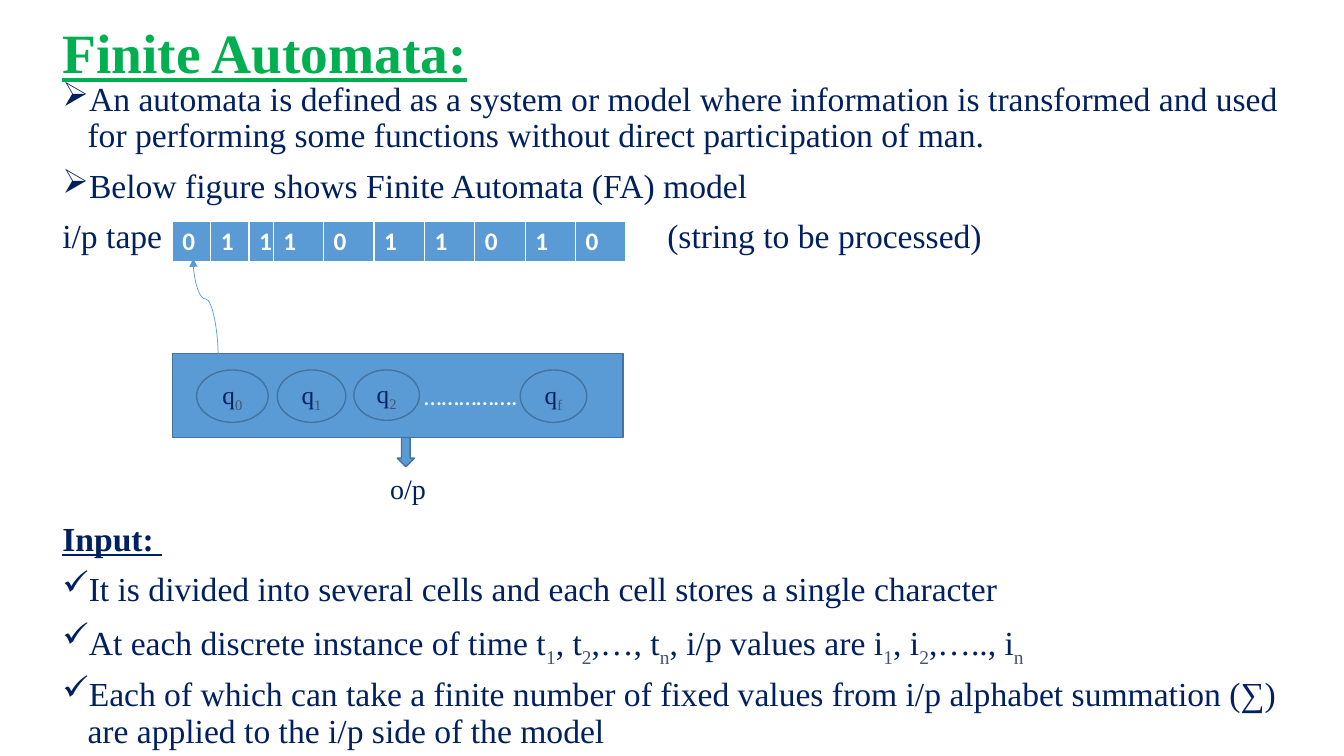
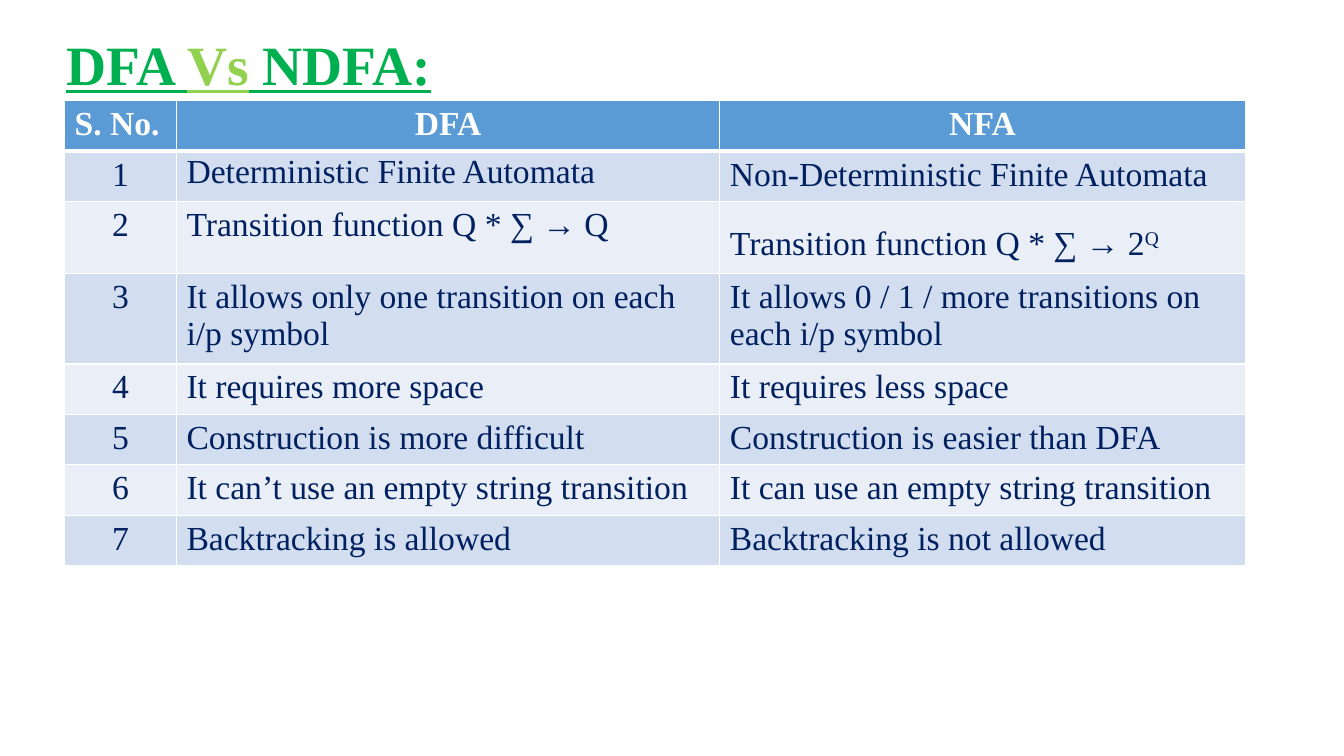
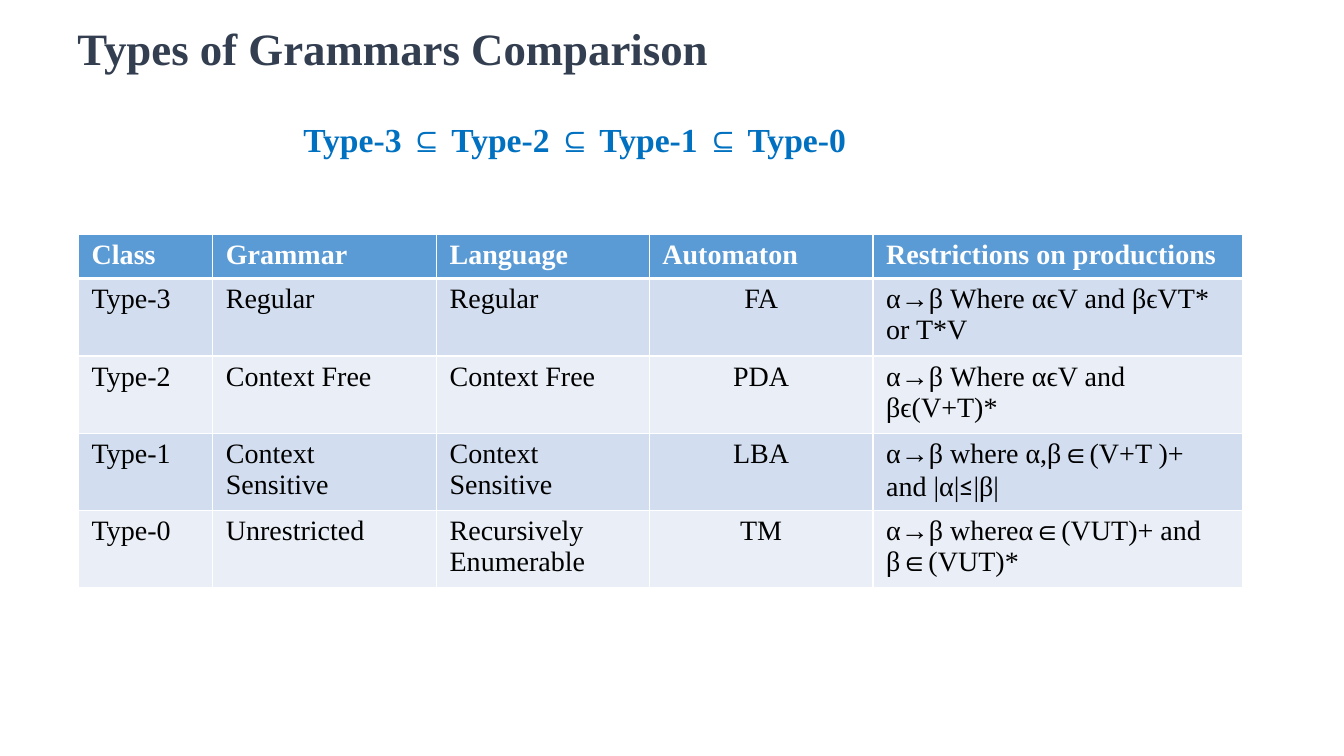
from dataclasses import dataclass
from typing import Optional

from lxml import etree
from pptx import Presentation
from pptx.dml.color import RGBColor
from pptx.enum.shapes import MSO_CONNECTOR, MSO_SHAPE
from pptx.enum.text import MSO_ANCHOR, PP_ALIGN
from pptx.oxml.ns import qn
from pptx.util import Inches, Pt

RECTANGLE, OVAL, DOWN_ARROW = MSO_SHAPE.RECTANGLE, MSO_SHAPE.OVAL, MSO_SHAPE.DOWN_ARROW
CURVE = MSO_CONNECTOR.CURVE
TOP, MIDDLE, BOTTOM = MSO_ANCHOR.TOP, MSO_ANCHOR.MIDDLE, MSO_ANCHOR.BOTTOM
LEFT, CENTER = PP_ALIGN.LEFT, PP_ALIGN.CENTER
ALIGNMENTS = {"l": LEFT, "c": CENTER}


@dataclass(frozen=True)
class Theme:
    serif: str = "Times New Roman"
    sans: str = "Calibri"
    green: str = "00B050"
    lime: str = "92D050"
    navy: str = "002060"
    slate: str = "333F50"
    subscript: str = "44546A"
    blue: str = "0070C0"
    accent: str = "5B9BD5"
    outline: str = "43739E"
    bands: tuple = ("D2DEEF", "EAEFF7")
    white: str = "FFFFFF"
    black: str = "000000"
    title: float = 39.6
    subtitle: float = 32
    body: float = 24
    small: float = 20
    label: float = 18
    line_spacing: float = 0.9
    paragraph_gap: float = 10


THEME = Theme()


@dataclass(frozen=True)
class Style:
    size: float = THEME.body
    color: str = THEME.navy
    font: str = THEME.serif
    bold: bool = False
    underline: bool = False


@dataclass(frozen=True)
class Run:
    text: str
    color: Optional[str] = None
    font: Optional[str] = None
    baseline: int = 0


BODY = Style()
TITLE = Style(THEME.title, THEME.green, bold=True, underline=True)
TAPE = Style(THEME.label, THEME.white, THEME.sans, bold=True)
STATE = Style(THEME.label)


def sub(text):
    return Run(text, color=THEME.subscript, baseline=-25000)


def sup(text):
    return Run(text, baseline=30000)


def rgb(color):
    return RGBColor.from_string(color)


def add_bullet(paragraph, symbol):
    properties = paragraph._p.get_or_add_pPr()
    properties.set("marL", str(Inches(0.25)))
    properties.set("indent", str(Inches(-0.25)))
    etree.SubElement(properties, qn("a:buChar")).set("char", symbol)


def write_paragraph(paragraph, content, style, align=LEFT, bullet=None):
    paragraph.alignment = align
    if bullet:
        add_bullet(paragraph, bullet)
    font = paragraph.font
    font.name, font.size = style.font, Pt(style.size)
    font.bold, font.underline = style.bold, style.underline
    font.color.rgb = rgb(style.color)
    for part in [content] if isinstance(content, str) else content:
        part = Run(part) if isinstance(part, str) else part
        run = paragraph.add_run()
        run.text = part.text
        if part.color:
            run.font.color.rgb = rgb(part.color)
        if part.font:
            run.font.name = part.font
        if part.baseline:
            run._r.get_or_add_rPr().set("baseline", str(part.baseline))


def add_text(slide, box, lines, anchor=TOP):
    frame = slide.shapes.add_textbox(*map(Inches, box)).text_frame
    frame.word_wrap = True
    frame.vertical_anchor = anchor
    for index, (content, style, bullet) in enumerate(lines):
        paragraph = frame.add_paragraph() if index else frame.paragraphs[0]
        paragraph.line_spacing = THEME.line_spacing
        paragraph.space_before = Pt(THEME.paragraph_gap if index else 0)
        write_paragraph(paragraph, content, style, bullet=bullet)


def add_title(slide, box, content, style=TITLE):
    add_text(slide, box, [(content, style, None)], MIDDLE)


def add_shape(slide, kind, box):
    shape = slide.shapes.add_shape(kind, *map(Inches, box))
    shape.shadow.inherit = False
    shape.fill.solid()
    shape.fill.fore_color.rgb = rgb(THEME.accent)
    shape.line.color.rgb = rgb(THEME.outline)
    shape.line.width = Pt(1)
    shape.text_frame.vertical_anchor = MIDDLE
    return shape


def add_state(slide, box, index):
    frame = add_shape(slide, OVAL, box).text_frame
    frame.word_wrap = False
    write_paragraph(frame.paragraphs[0], ["q", sub(index)], STATE, CENTER)


def add_tape_head(slide):
    left, top, width, height = 1.54, 2.94, 1, 0.25
    ends = left, top, left + width, top + height
    head = slide.shapes.add_connector(CURVE, *map(Inches, ends))
    head.line.color.rgb = rgb(THEME.accent)
    head.line.width = Pt(0.5)
    properties = head._element.spPr
    transform = properties.find(qn("a:xfrm"))
    transform.set("rot", "16200000")
    transform.set("flipV", "1")
    geometry = properties.find(qn("a:prstGeom"))
    guides = geometry.find(qn("a:avLst"))
    if guides is None:
        guides = etree.SubElement(geometry, qn("a:avLst"))
    bend = etree.SubElement(guides, qn("a:gd"))
    bend.set("name", "adj1")
    bend.set("fmla", "val 59800")
    arrow = etree.SubElement(properties.find(qn("a:ln")), qn("a:tailEnd"))
    arrow.set("type", "triangle")
    etree.SubElement(properties, qn("a:effectLst"))


def add_borders(cell, bottom):
    properties = cell._tc.get_or_add_tcPr()
    widths = {"lnL": 1, "lnR": 1, "lnT": 1, "lnB": bottom}
    for index, (side, width) in enumerate(widths.items()):
        border = etree.Element(qn(f"a:{side}"))
        border.set("w", str(Pt(width)))
        fill = etree.SubElement(border, qn("a:solidFill"))
        etree.SubElement(fill, qn("a:srgbClr")).set("val", THEME.white)
        properties.insert(index, border)


def add_table(slide, corner, widths, heights, rows, header, body,
              header_align, body_align, side_margin=0.1):
    size = sum(widths), sum(heights)
    table = slide.shapes.add_table(
        len(rows), len(widths), *map(Inches, corner + size)).table
    table.horz_banding = False
    for column, width in zip(table.columns, widths):
        column.width = Inches(width)
    for row, height in zip(table.rows, heights):
        row.height = Inches(height)
    for r, contents in enumerate(rows):
        style, aligns = (body, body_align) if r else (header, header_align)
        fill = THEME.bands[(r - 1) % 2] if r else THEME.accent
        for c, (content, align) in enumerate(zip(contents, aligns)):
            cell = table.cell(r, c)
            cell.margin_left = cell.margin_right = Inches(side_margin)
            cell.fill.solid()
            cell.fill.fore_color.rgb = rgb(fill)
            add_borders(cell, 1 if r else 3)
            write_paragraph(cell.text_frame.paragraphs[0], content, style,
                            ALIGNMENTS[align])
    return table


def build_finite_automata(slide):
    add_title(slide, (0.52, 0.29, 11.9, 0.53), "Finite Automata:")
    add_text(slide, (0.52, 0.77, 12.3, 1.3), [
        ("An automata is defined as a system or model where information is "
         "transformed and used for performing some functions without direct "
         "participation of man.", BODY, "➢"),
        ("Below figure shows Finite Automata (FA) model", BODY, "➢"),
    ])
    add_text(slide, (0.52, 2.13, 1.25, 0.45), [("i/p tape", BODY, None)])
    add_text(slide, (6.52, 2.13, 4, 0.45),
             [("(string to be processed)", BODY, None)])
    add_text(slide, (3.77, 4.67, 0.8, 0.4),
             [("o/p", Style(THEME.small), None)])
    add_text(slide, (0.52, 5.13, 12.3, 2.3), [
        ("Input: ", Style(bold=True, underline=True), None),
        ("It is divided into several cells and each cell stores a single "
         "character", BODY, "✓"),
        (["At each discrete instance of time t", sub("1"), ", t", sub("2"),
          ",…, t", sub("n"), ", i/p values are i", sub("1"), ", i", sub("2"),
          ",….., i", sub("n")], BODY, "✓"),
        ("Each of which can take a finite number of fixed values from i/p "
         "alphabet summation (∑) are applied to the i/p side of the model",
         BODY, "✓"),
    ])
    symbols = "0111011010"
    add_table(slide, (1.71, 2.2), [0.38, 0.38, 0.24] + [0.5] * 7, [0.41],
              [symbols], TAPE, TAPE, "l" * len(symbols), "")

    control = add_shape(slide, RECTANGLE, (1.71, 3.51, 4.47, 0.83)).text_frame
    control.margin_left = Inches(1.55)
    write_paragraph(control.paragraphs[0], "…………….",
                    Style(THEME.label, THEME.white, THEME.sans), CENTER)
    for index, left, width, height in (("0", 1.95, 0.71, 0.52),
                                       ("1", 2.75, 0.68, 0.52),
                                       ("2", 3.51, 0.65, 0.5),
                                       ("f", 5.16, 0.66, 0.52)):
        add_state(slide, (left, 3.67, width, height), index)
    add_tape_head(slide)
    add_shape(slide, DOWN_ARROW, (3.94, 4.34, 0.17, 0.29))


def build_dfa_comparison(slide):
    add_title(slide, (0.56, 0.42, 11.85, 0.49),
              ["DFA ", Run("Vs", color=THEME.lime), " NDFA:"])
    rows = [
        ("S. No.", "DFA", "NFA"),
        ("1", "Deterministic Finite Automata",
         "Non-Deterministic Finite Automata"),
        ("2", "Transition function Q * ∑ → Q",
         ["Transition function Q * ∑ → 2", sup("Q")]),
        ("3", "It allows only one transition on each i/p symbol",
         "It allows 0 / 1 / more transitions on each i/p symbol"),
        ("4", "It requires more space", "It requires less space"),
        ("5", "Construction is more difficult",
         "Construction is easier than DFA"),
        ("6", "It can’t use an empty string transition",
         "It can use an empty string transition"),
        ("7", "Backtracking is allowed", "Backtracking is not allowed"),
    ]
    table = add_table(slide, (0.64, 1), [1.11, 5.39, 5.21],
                      [0.47, 0.47, 0.71, 0.84] + [0.47] * 4, rows,
                      Style(color=THEME.white, bold=True), BODY, "lcc", "cll")
    table.cell(1, 1).text_frame.paragraphs[0].line_spacing = THEME.line_spacing
    power_set = table.cell(2, 2)
    power_set.vertical_anchor = BOTTOM
    power_set.margin_bottom = Inches(0.1)


def build_grammar_comparison(slide):
    add_title(slide, (0.67, 0.17, 12, 0.67), "Types of Grammars Comparison",
              Style(THEME.subtitle, THEME.slate, bold=True))
    add_text(slide, (2.91, 1.18, 9.6, 0.5),
             [("Type-3 ⊆ Type-2 ⊆ Type-1 ⊆ Type-0",
               Style(color=THEME.blue, bold=True), None)])
    rows = [
        ("Class", "Grammar", "Language", "Automaton",
         "Restrictions on productions"),
        ("Type-3", "Regular", "Regular", "FA",
         "α→β Where αϵV and βϵVT* or T*V"),
        ("Type-2", "Context Free", "Context Free", "PDA",
         "α→β Where αϵV and βϵ(V+T)*"),
        ("Type-1", "Context Sensitive", "Context Sensitive", "LBA",
         ["α→β where α,β∈(V+T )+ and |α|", Run("≤", font=THEME.sans), "|β|"]),
        ("Type-0", "Unrestricted", "Recursively Enumerable", "TM",
         "α→β whereα∈(VUT)+ and β∈(VUT)*"),
    ]
    add_table(slide, (0.78, 2.33), [1.33, 2.22, 2.11, 2.22, 3.67],
              [0.41, 0.72, 0.72, 0.74, 0.72], rows,
              Style(THEME.small, THEME.white, bold=True),
              Style(THEME.small, THEME.black), "lllll", "lllcl", 0.13)


def main():
    deck = Presentation()
    deck.slide_width, deck.slide_height = Inches(13.33), Inches(7.5)
    blank = deck.slide_layouts[6]
    for build in (build_finite_automata, build_dfa_comparison,
                  build_grammar_comparison):
        build(deck.slides.add_slide(blank))
    deck.save("out.pptx")


if __name__ == "__main__":
    main()
